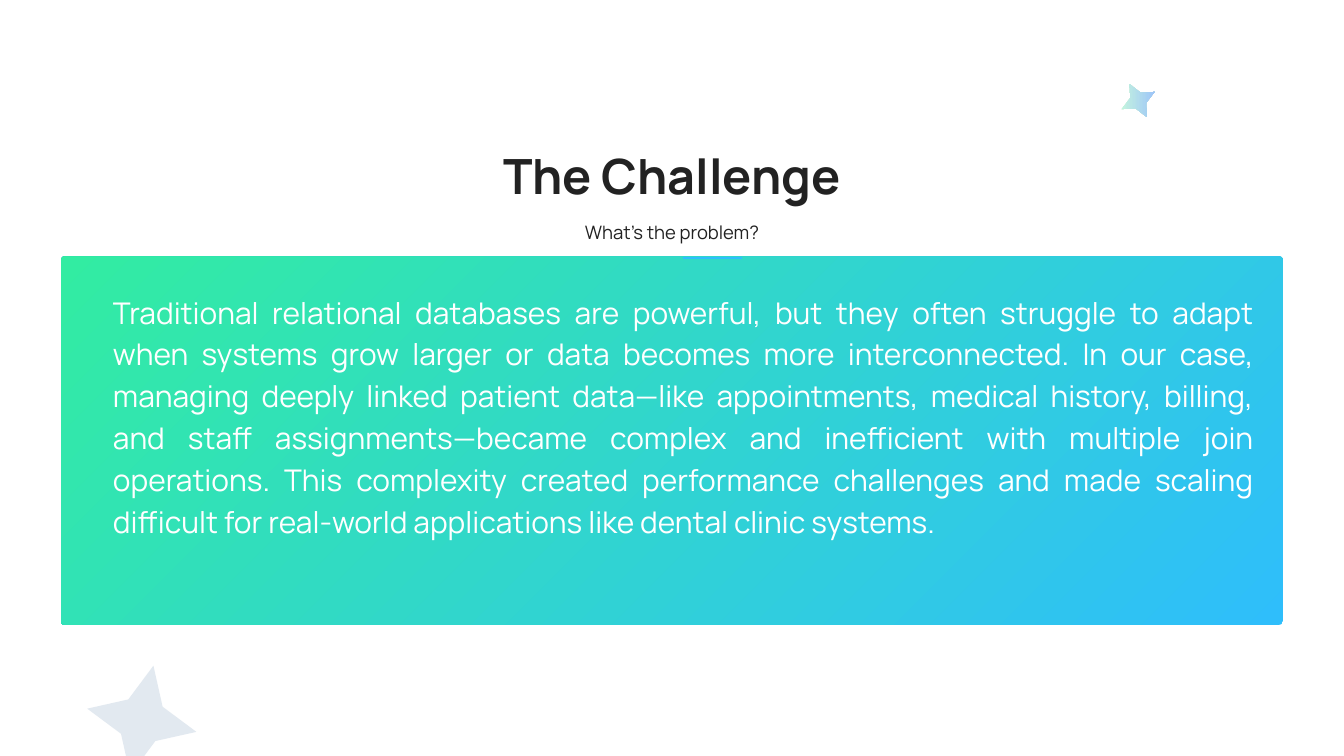
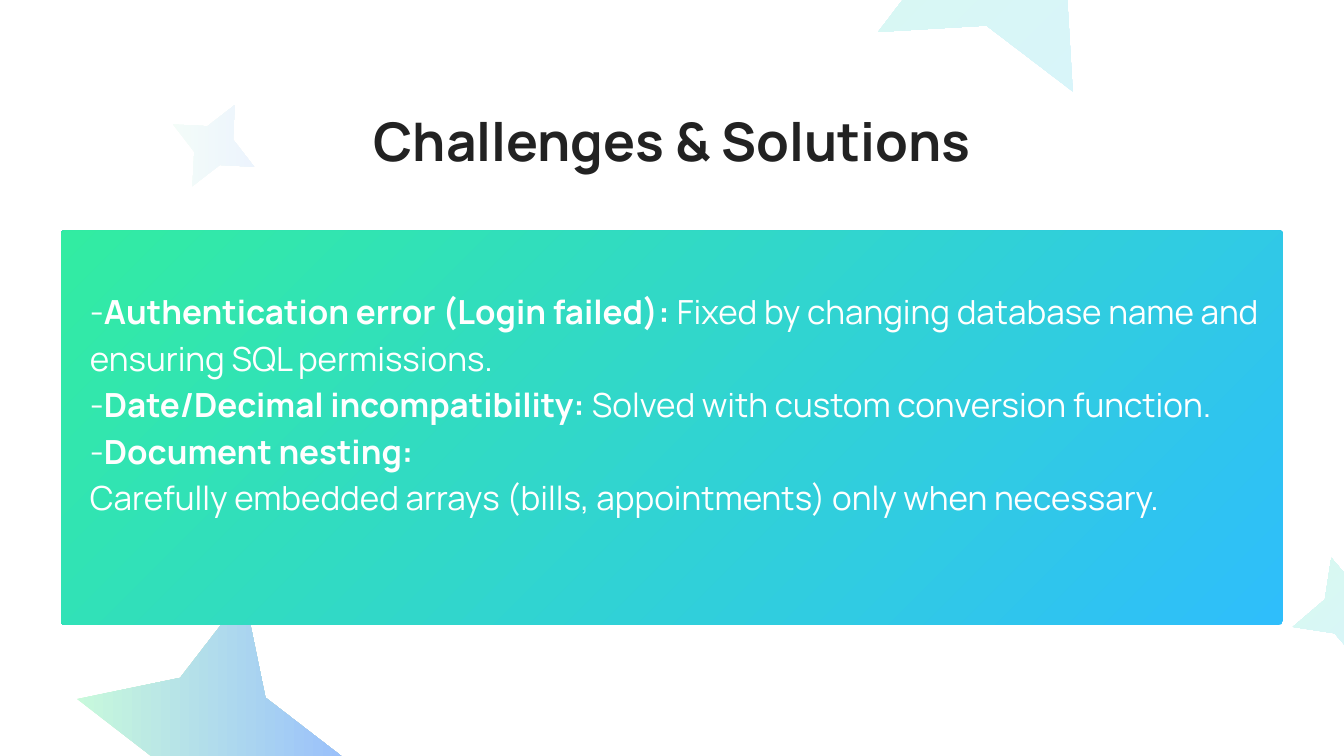
"""Builds two slides about the challenges of a relational database project."""
from dataclasses import dataclass

from lxml.etree import SubElement
from pptx import Presentation
from pptx.dml.color import RGBColor
from pptx.enum.shapes import MSO_CONNECTOR, MSO_SHAPE
from pptx.enum.text import MSO_AUTO_SIZE, PP_ALIGN
from pptx.oxml import parse_xml
from pptx.oxml.ns import nsdecls, qn
from pptx.shapes.autoshape import Shape
from pptx.slide import Slide
from pptx.util import Cm, Pt

COLORS = {
    "ink": "222222",
    "white": "FFFFFF",
    "green": "32ECA2",
    "blue": "2FBEFB",
    "mint": "CDFFD8",
    "periwinkle": "94B9FF",
    "slate": "6387B0",
}
FONT = "Manrope"
SLIDE_WIDTH, SLIDE_HEIGHT = 50.8, 28.58
PANEL_LEFT, PANEL_BOTTOM = 2.31, 23.62
CORNER_RADIUS = 0.13
STAR_WAIST = 0.2223
FAINT = 18


@dataclass(frozen=True)
class Gradient:
    """Two colours that blend either sideways or out of the top left corner."""
    start: str
    end: str
    from_corner: bool = False


VIVID = Gradient("green", "blue", from_corner=True)
PASTEL = Gradient("mint", "periwinkle")
PLAIN = Gradient("slate", "slate")


@dataclass(frozen=True)
class Star:
    """Place, turn and paint of one decorative star."""
    left: float
    top: float
    size: float
    rotation: float
    gradient: Gradient
    opacity: int = 100


CHALLENGE_STARS = [
    Star(42.32, 3.1, 1.4, 332.4, PASTEL),
    Star(3.25, 25.12, 4.22, 12, PLAIN, FAINT),
]
STAR_BEHIND_PANEL = Star(2.79, 22.35, 10.52, 13, PASTEL)
SOLUTION_STARS = [
    Star(48.79, 21.01, 4.22, 344.1, VIVID, FAINT),
    Star(6.35, 3.78, 3.45, 27.6, PASTEL, FAINT),
    Star(32.56, -6.78, 10.87, 332, VIVID, FAINT),
]

CHALLENGE_TEXT = (
    "Traditional relational databases are powerful, but they often struggle to adapt "
    "when systems grow larger or data becomes more interconnected. In our case, "
    "managing deeply linked patient data—like appointments, medical history, billing, "
    "and staff assignments—became complex and inefficient with multiple join "
    "operations. This complexity created performance challenges and made scaling "
    "difficult for real-world applications like dental clinic systems."
)
SOLUTION_TEXTS = [
    "-**Authentication error (Login failed):** Fixed by changing database name and "
    "ensuring SQL permissions.",
    "-**Date/Decimal incompatibility:** Solved with custom conversion function.",
    "-**Document nesting:**",
    "Carefully embedded arrays (bills, appointments) only when necessary.",
]


def paint(shape: Shape, gradient: Gradient, opacity: int = 100) -> None:
    """Fill a shape with a gradient and remove its line and shadow."""
    shape.shadow.inherit = False
    shape.line.fill.background()
    if gradient.start == gradient.end:
        shape.fill.solid()
        shape.fill.fore_color.rgb = RGBColor.from_string(COLORS[gradient.start])
        color = shape.fill._xPr.find(".//" + qn("a:srgbClr"))
        SubElement(color, qn("a:alpha"), val=str(opacity * 1000))
        return
    stops = "".join(
        f'<a:gs pos="{position}"><a:srgbClr val="{COLORS[name]}">'
        f'<a:alpha val="{opacity * 1000}"/></a:srgbClr></a:gs>'
        for position, name in ((0, gradient.start), (100000, gradient.end))
    )
    if gradient.from_corner:
        direction = ('<a:path path="circle">'
                     '<a:fillToRect l="0" t="0" r="100000" b="100000"/></a:path>')
    else:
        direction = '<a:lin ang="0" scaled="0"/>'
    fill = parse_xml(
        f'<a:gradFill {nsdecls("a")} rotWithShape="0">'
        f'<a:gsLst>{stops}</a:gsLst>{direction}</a:gradFill>'
    )
    shape._element.spPr.find(qn("a:prstGeom")).addnext(fill)


def add_star(slide: Slide, star: Star) -> None:
    """Draw one four-pointed star."""
    shape = slide.shapes.add_shape(
        MSO_SHAPE.STAR_4_POINT, Cm(star.left), Cm(star.top), Cm(star.size), Cm(star.size))
    shape.adjustments[0] = STAR_WAIST
    shape.rotation = star.rotation
    paint(shape, star.gradient, star.opacity)


def add_panel(slide: Slide, top: float) -> None:
    """Draw the wide panel from the given top to the shared bottom edge."""
    height = PANEL_BOTTOM - top
    shape = slide.shapes.add_shape(
        MSO_SHAPE.ROUNDED_RECTANGLE, Cm(PANEL_LEFT), Cm(top),
        Cm(SLIDE_WIDTH - 2 * PANEL_LEFT), Cm(height))
    shape.adjustments[0] = CORNER_RADIUS / height
    paint(shape, VIVID)


def add_text(slide: Slide, *texts: str, left: float, top: float, width: float,
             height: float, size: float, spacing: float, color: str = "white",
             bold: bool = False, align: PP_ALIGN = PP_ALIGN.LEFT) -> None:
    """Add a text box with one paragraph per text, bold between double asterisks."""
    box = slide.shapes.add_textbox(Cm(left), Cm(top), Cm(width), Cm(height))
    frame = box.text_frame
    frame.word_wrap = True
    frame.auto_size = MSO_AUTO_SIZE.SHAPE_TO_FIT_TEXT
    frame.margin_left = frame.margin_right = frame.margin_top = frame.margin_bottom = 0
    for index, text in enumerate(texts):
        paragraph = frame.add_paragraph() if index else frame.paragraphs[0]
        paragraph.alignment = align
        paragraph.line_spacing = Pt(spacing)
        for part, words in enumerate(text.split("**")):
            if not words:
                continue
            run = paragraph.add_run()
            run.text = words
            run.font.name = FONT
            run.font.size = Pt(size)
            run.font.bold = bold or part % 2 == 1
            run.font.color.rgb = RGBColor.from_string(COLORS[color])


def add_heading(slide: Slide, text: str, *, top: float, width: float, height: float,
                size: float, spacing: float, bold: bool = True) -> None:
    """Add a dark heading centred on the slide."""
    add_text(slide, text, left=(SLIDE_WIDTH - width) / 2, top=top, width=width,
             height=height, size=size, spacing=spacing, color="ink", bold=bold,
             align=PP_ALIGN.CENTER)


def add_accent_line(slide: Slide, left: float, right: float, top: float) -> None:
    """Draw the short accent line on the panel edge."""
    line = slide.shapes.add_connector(
        MSO_CONNECTOR.STRAIGHT, Cm(left), Cm(top), Cm(right), Cm(top))
    line.line.color.rgb = RGBColor.from_string(COLORS["blue"])
    line.line.width = Pt(3)
    SubElement(line._element.spPr, qn("a:effectLst"))


def build_challenge(slide: Slide) -> None:
    """Build the slide that states the problem."""
    add_heading(slide, "The Challenge", top=5.74, width=18.87, height=2.16,
                size=52, spacing=56.1)
    add_heading(slide, "What’s the problem?", top=8.23, width=18.87, height=0.97,
                size=19.8, spacing=27.7, bold=False)
    add_panel(slide, top=9.7)
    add_text(slide, CHALLENGE_TEXT, left=4.27, top=10.9, width=43.15, height=12.5,
             size=32, spacing=44.8, align=PP_ALIGN.JUSTIFY)
    for star in CHALLENGE_STARS:
        add_star(slide, star)
    add_accent_line(slide, left=25.83, right=28.04, top=9.75)


def build_solutions(slide: Slide) -> None:
    """Build the slide that pairs problems with their fixes."""
    add_heading(slide, "Challenges & Solutions", top=4.32, width=23.98, height=2.41,
                size=57, spacing=61.5)
    add_star(slide, STAR_BEHIND_PANEL)
    add_panel(slide, top=8.71)
    add_text(slide, *SOLUTION_TEXTS, left=3.4, top=10.77, width=45.09, height=10.54,
             size=35.6, spacing=49.8)
    for star in SOLUTION_STARS:
        add_star(slide, star)


def main() -> None:
    """Create the presentation and save it."""
    presentation = Presentation()
    presentation.slide_width = Cm(SLIDE_WIDTH)
    presentation.slide_height = Cm(SLIDE_HEIGHT)
    blank_layout = presentation.slide_layouts[6]
    for build in (build_challenge, build_solutions):
        build(presentation.slides.add_slide(blank_layout))
    presentation.save("out.pptx")


if __name__ == "__main__":
    main()
